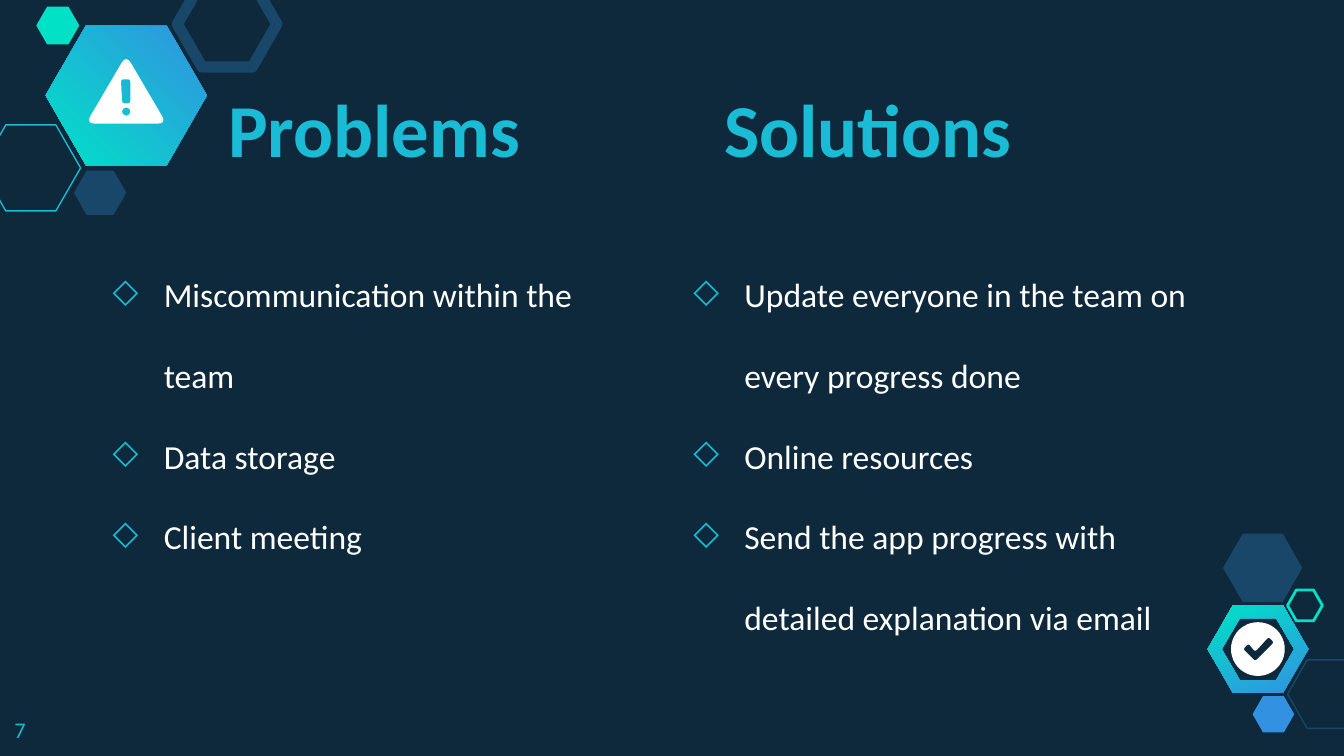
"""Build the problems and solutions slide with its hexagon decorations."""
from dataclasses import dataclass
from math import cos, hypot, pi, sin
from typing import Optional

from lxml.etree import SubElement
from pptx import Presentation
from pptx.dml.color import RGBColor
from pptx.enum.shapes import MSO_SHAPE
from pptx.enum.text import MSO_ANCHOR
from pptx.oxml.ns import qn
from pptx.util import Inches, Pt

NAVY = RGBColor(0x0E, 0x29, 0x3C)
STEEL = RGBColor(0x18, 0x47, 0x69)
CYAN = RGBColor(0x19, 0xBB, 0xD5)
MINT = RGBColor(0x00, 0xE1, 0xC6)
BLUE = RGBColor(0x32, 0x92, 0xE1)
WHITE = RGBColor(0xFF, 0xFF, 0xFF)
FONT = "Calibri"

Point = tuple[float, float]
Contour = list[Point]


@dataclass
class Hexagon:
    left: float
    top: float
    width: float
    height: float
    color: RGBColor
    line_width: Optional[float] = None


@dataclass
class Column:
    title: str
    title_left: float
    body_left: float
    body_width: float
    items: list[str]


HEXAGONS = [
    Hexagon(-0.14, 0.93, 0.74, 0.64, CYAN, 0.75),
    Hexagon(0.55, 1.27, 0.39, 0.33, STEEL),
    Hexagon(1.32, -0.14, 0.74, 0.64, STEEL, 6),
    Hexagon(0.27, 0.05, 0.32, 0.28, MINT),
    Hexagon(9.58, 4.91, 0.59, 0.51, STEEL, 0.75),
    Hexagon(9.32, 5.18, 0.31, 0.27, BLUE),
    Hexagon(9.1, 3.97, 0.59, 0.51, STEEL),
    Hexagon(9.58, 4.39, 0.26, 0.23, MINT, 1.5),
]

COLUMNS = [
    Column("Problems", 1.6, 0.62, 4.28,
           ["Miscommunication within the team", "Data storage", "Client meeting"]),
    Column("Solutions", 5.29, 4.94, 4.24,
           ["Update everyone in the team on every progress done", "Online resources",
            "Send the app progress with detailed explanation via email"]),
]

TRIANGLE = [(0.94, 0.41), (1.24, 0.92), (0.64, 0.92)]
BAR = [(0.9, 0.59), (0.97, 0.59), (0.97, 0.77), (0.91, 0.77)]
CHECK = [(9.25, 4.83), (9.29, 4.79), (9.34, 4.85), (9.44, 4.74), (9.48, 4.78), (9.34, 4.92)]


def hexagon_contour(center: Point, width: float, height: float) -> Contour:
    x, y = center
    return [(x + width / 2 * cos(k * pi / 3), y + height / 2 * sin(k * pi / 3) / sin(pi / 3))
            for k in range(6)]


def circle_contour(center: Point, radius: float) -> Contour:
    x, y = center
    return [(x + radius * cos(k * pi / 24), y + radius * sin(k * pi / 24)) for k in range(48)]


def toward(start: Point, end: Point, distance: float) -> Point:
    share = distance / hypot(end[0] - start[0], end[1] - start[1])
    return start[0] + (end[0] - start[0]) * share, start[1] + (end[1] - start[1]) * share


def rounded_contour(corners: Contour, cut: float) -> Contour:
    points = []
    for index, corner in enumerate(corners):
        entry = toward(corner, corners[index - 1], cut)
        leave = toward(corner, corners[(index + 1) % len(corners)], cut)
        for step in range(7):
            t = step / 6
            points.append(tuple((1 - t) ** 2 * a + 2 * t * (1 - t) * b + t ** 2 * c
                                for a, b, c in zip(entry, corner, leave)))
    return points


def draw_outline(page, contours: list[Contour], gradient_angle: Optional[float] = None) -> None:
    scaled = [[(Inches(x), Inches(y)) for x, y in contour] for contour in contours]
    builder = page.shapes.build_freeform(*scaled[0][0])
    builder.add_line_segments(scaled[0][1:], close=True)
    for contour in scaled[1:]:
        builder.move_to(*contour[0])
        builder.add_line_segments(contour[1:], close=True)
    shape = builder.convert_to_shape()
    shape.shadow.inherit = False
    shape.line.fill.background()
    if gradient_angle is None:
        shape.fill.solid()
        shape.fill.fore_color.rgb = WHITE
        return
    shape.fill.gradient()
    shape.fill.gradient_angle = gradient_angle
    for stop, color in zip(shape.fill.gradient_stops, (BLUE, MINT)):
        stop.color.rgb = color


def draw_hexagon(page, hexagon: Hexagon) -> None:
    shape = page.shapes.add_shape(MSO_SHAPE.HEXAGON, Inches(hexagon.left), Inches(hexagon.top),
                                  Inches(hexagon.width), Inches(hexagon.height))
    shape.adjustments[0] = 0.287
    shape.shadow.inherit = False
    if hexagon.line_width is None:
        shape.fill.solid()
        shape.fill.fore_color.rgb = hexagon.color
        shape.line.fill.background()
    else:
        shape.fill.background()
        shape.line.color.rgb = hexagon.color
        shape.line.width = Pt(hexagon.line_width)


def draw_text(page, box: tuple[float, float, float, float], lines: list[str], size: float,
              color: RGBColor, bold: bool = False, anchor: MSO_ANCHOR = MSO_ANCHOR.TOP):
    frame = page.shapes.add_textbox(*map(Inches, box)).text_frame
    frame.word_wrap = True
    frame.vertical_anchor = anchor
    frame.margin_left = frame.margin_right = Inches(0.1)
    frame.margin_top = frame.margin_bottom = Inches(0.1)
    frame.text = "\n".join(lines)
    for para in frame.paragraphs:
        for span in para.runs:
            span.font.name = FONT
            span.font.size = Pt(size)
            span.font.bold = bold
            span.font.color.rgb = color
    return frame


def add_bullet(para) -> None:
    properties = para._p.get_or_add_pPr()
    properties.set("marL", str(Inches(0.5)))
    properties.set("indent", str(Inches(-0.38)))
    bullet_color = SubElement(properties, qn("a:buClr"))
    SubElement(bullet_color, qn("a:srgbClr"), val=str(CYAN))
    SubElement(properties, qn("a:buChar"), char="◇")


def draw_column(page, column: Column) -> None:
    draw_text(page, (column.title_left, 0.67, 3.35, 0.71), [column.title], 40, CYAN,
              bold=True, anchor=MSO_ANCHOR.BOTTOM)
    body = draw_text(page, (column.body_left, 1.64, column.body_width, 3.88),
                     column.items, 18, WHITE)
    for para in body.paragraphs:
        para.line_spacing = 2.0
        para.space_before = Pt(0)
        add_bullet(para)
    body.paragraphs[0].space_before = Pt(6)


def main() -> None:
    deck = Presentation()
    deck.slide_width = Inches(10)
    deck.slide_height = Inches(10) * 9 // 16
    page = deck.slides.add_slide(deck.slide_layouts[6])
    page.background.fill.solid()
    page.background.fill.fore_color.rgb = NAVY

    ring_center = (9.36, 4.83)
    draw_outline(page, [hexagon_contour(ring_center, 0.75, 0.65),
                        hexagon_contour(ring_center, 0.54, 0.46)], gradient_angle=116)
    draw_outline(page, [hexagon_contour((0.94, 0.71), 1.2, 1.04)], gradient_angle=225)
    for hexagon in HEXAGONS:
        draw_hexagon(page, hexagon)
    draw_text(page, (0.01, 5.23, 0.6, 0.39), ["7"], 12, CYAN)
    draw_outline(page, [rounded_contour(TRIANGLE, 0.07), rounded_contour(BAR, 0.02),
                        circle_contour((0.94, 0.83), 0.03)])
    draw_outline(page, [circle_contour(ring_center, 0.2), rounded_contour(CHECK, 0.02)])
    for column in COLUMNS:
        draw_column(page, column)
    deck.save("out.pptx")


if __name__ == "__main__":
    main()
